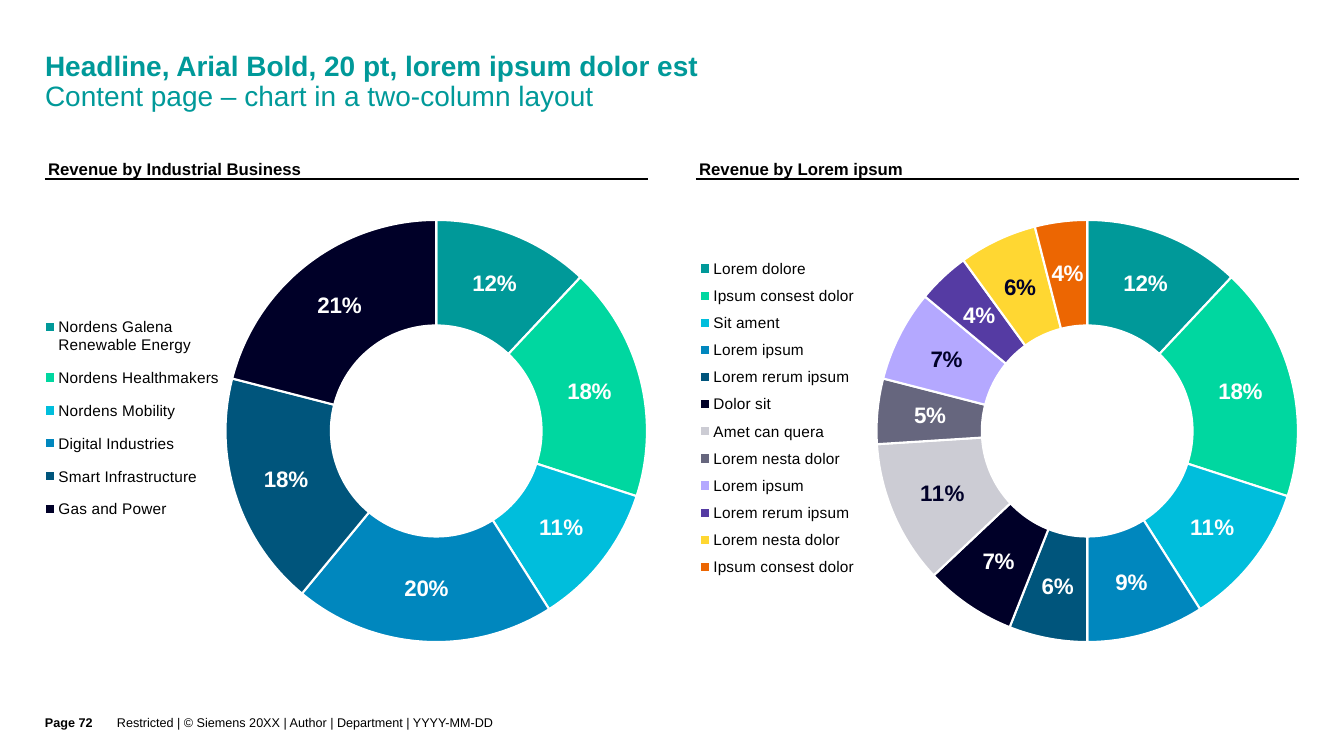
from dataclasses import dataclass

from lxml.etree import Element, SubElement
from pptx import Presentation
from pptx.chart.data import CategoryChartData as ChartData
from pptx.dml.color import RGBColor as Rgb
from pptx.enum.chart import XL_CHART_TYPE as Kind, XL_LEGEND_POSITION as Side
from pptx.enum.shapes import MSO_CONNECTOR as Link
from pptx.enum.text import MSO_ANCHOR as Anchor, MSO_AUTO_SIZE as Fit, PP_ALIGN as Align
from pptx.oxml.ns import qn
from pptx.util import Pt


@dataclass(frozen=True)
class Theme:
    font: str = "Arial"
    teal: str = "009999"
    black: str = "000000"
    white: str = "FFFFFF"
    navy: str = "000028"
    head: int = 20
    title: int = 12
    label: int = 16
    key: int = 11
    base: int = 10
    foot: int = 9
    slices: tuple = ("009999", "00D7A0", "00BEDC", "0087BE", "00557C", "000028",
                     "CCCCD4", "66667E", "B4A8FF", "553BA3", "FFD732", "EC6602")
    pale: tuple = ("CCCCD4", "B4A8FF", "FFD732")


LOOK = Theme()
SCALE = 914400 / 100.8


def px(num):
    return round(num * SCALE)


def style(font, size, color, bold=False):
    font.name = LOOK.font
    font.size = Pt(size)
    font.bold = bold
    font.color.rgb = Rgb.from_string(color)


def place(part, **spots):
    for old in part.findall(qn("c:layout")):
        part.remove(old)
    layout = Element(qn("c:layout"))
    manual = SubElement(layout, qn("c:manualLayout"))
    if part.tag == qn("c:plotArea"):
        SubElement(manual, qn("c:layoutTarget")).set("val", "inner")
    for name in ("xMode", "yMode"):
        SubElement(manual, qn("c:" + name)).set("val", "edge")
    for name, num in spots.items():
        SubElement(manual, qn("c:" + name)).set("val", str(num))
    over = part.find(qn("c:overlay"))
    part.insert(0 if over is None else part.index(over), layout)


def add_head(slide, box, lines):
    shape = slide.shapes.title
    shape.left, shape.top, shape.width, shape.height = map(px, box)
    frame = shape.text_frame
    frame.text = "\v".join(lines)
    frame.auto_size = Fit.NONE
    frame.word_wrap = True
    frame.vertical_anchor = Anchor.TOP
    frame.margin_left = frame.margin_top = 0
    frame.margin_right, frame.margin_bottom = px(35), px(2)
    para = frame.paragraphs[0]
    para.alignment = Align.LEFT
    para.line_spacing = 0.9
    for num, run in enumerate(para.runs):
        style(run.font, LOOK.head, LOOK.teal, num == 0)


def add_rule(slide, left, top, width):
    line = slide.shapes.add_connector(
        Link.STRAIGHT, px(left), px(top), px(left + width), px(top))
    line.line.color.rgb = Rgb.from_string(LOOK.black)
    line.line.width = Pt(1)
    SubElement(line.element.spPr, qn("a:effectLst"))


def add_ring(slide, box, title, items, plot, legend):
    left, top, width, _ = box
    data = ChartData(number_format="0%")
    data.categories = [name for name, _ in items]
    data.add_series("Series 1", [share / 100 for _, share in items])
    chart = slide.shapes.add_chart(Kind.DOUGHNUT, *map(px, box), data).chart
    style(chart.font, LOOK.base, LOOK.black)

    chart.has_title = True
    frame = chart.chart_title.text_frame
    frame.text = title
    style(frame.paragraphs[0].runs[0].font, LOOK.title, LOOK.black, True)
    chart.has_legend = True
    chart.legend.position = Side.LEFT
    chart.legend.include_in_layout = False
    style(chart.legend.font, LOOK.key, LOOK.black)

    root = chart.element
    place(root.find(".//" + qn("c:title")), x=0, y=0)
    place(root.find(".//" + qn("c:plotArea")), **plot)
    place(root.find(".//" + qn("c:legend")), **legend)
    root.find(".//" + qn("c:holeSize")).set("val", "70")

    ring = chart.plots[0]
    ring.vary_by_categories = True
    ring.has_data_labels = True
    labels = ring.series[0].data_labels
    labels.show_value = True
    labels.show_percentage = False
    labels.number_format = "0%"
    labels.number_format_is_linked = False
    style(labels.font, LOOK.label, LOOK.white, True)
    for num, color in enumerate(LOOK.slices[:len(items)]):
        point = ring.series[0].points[num]
        point.format.fill.solid()
        point.format.fill.fore_color.rgb = Rgb.from_string(color)
        point.format.line.color.rgb = Rgb.from_string(LOOK.white)
        point.format.line.width = Pt(1.5)
        if color in LOOK.pale:
            style(point.data_label.font, LOOK.label, LOOK.navy, True)
    add_rule(slide, left, top + 23, width)


def add_foot(slide, box, page, note):
    left, top, width, height = box
    split = 72
    for start, span, text, bold in ((left, split, page, True),
                                    (left + split, width - split, note, False)):
        frame = slide.shapes.add_textbox(
            px(start), px(top), px(span), px(height)).text_frame
        frame.text = text
        frame.word_wrap = True
        frame.vertical_anchor = Anchor.MIDDLE
        frame.margin_left = frame.margin_top = frame.margin_right = 0
        frame.margin_bottom = px(7)
        style(frame.paragraphs[0].runs[0].font, LOOK.foot, LOOK.black, bold)


def main():
    deck = Presentation()
    deck.slide_width, deck.slide_height = px(1344), px(756)
    slide = deck.slides.add_slide(deck.slide_layouts.get_by_name("Title Only"))
    add_head(slide, (45, 52, 1088, 64),
             ("Headline, Arial Bold, 20 pt, lorem ipsum dolor est",
              "Content page – chart in a two-column layout"))
    add_ring(slide, (45, 156, 603, 524), "Revenue by Industrial Business",
             (("Nordens Galena Renewable Energy", 12), ("Nordens Healthmakers", 18),
              ("Nordens Mobility", 11), ("Digital Industries", 20),
              ("Smart Infrastructure", 18), ("Gas and Power", 21)),
             dict(x=0.3, y=0.12, w=0.7, h=0.81),
             dict(x=0, y=0.28, w=0.29, h=0.44))
    add_ring(slide, (696, 156, 603, 524), "Revenue by Lorem ipsum",
             (("Lorem dolore", 12), ("Ipsum consest dolor", 18), ("Sit ament", 11),
              ("Lorem ipsum", 9), ("Lorem rerum ipsum", 6), ("Dolor sit", 7),
              ("Amet can quera", 11), ("Lorem nesta dolor", 5), ("Lorem ipsum", 7),
              ("Lorem rerum ipsum", 4), ("Lorem nesta dolor", 6),
              ("Ipsum consest dolor", 4)),
             dict(x=0.3, y=0.12, w=0.7, h=0.81),
             dict(x=0, y=0.18, w=0.27, h=0.64))
    add_foot(slide, (45, 696, 1088, 60), "Page 72",
             "Restricted | © Siemens 20XX | Author | Department | YYYY-MM-DD")
    deck.save("out.pptx")


if __name__ == "__main__":
    main()
